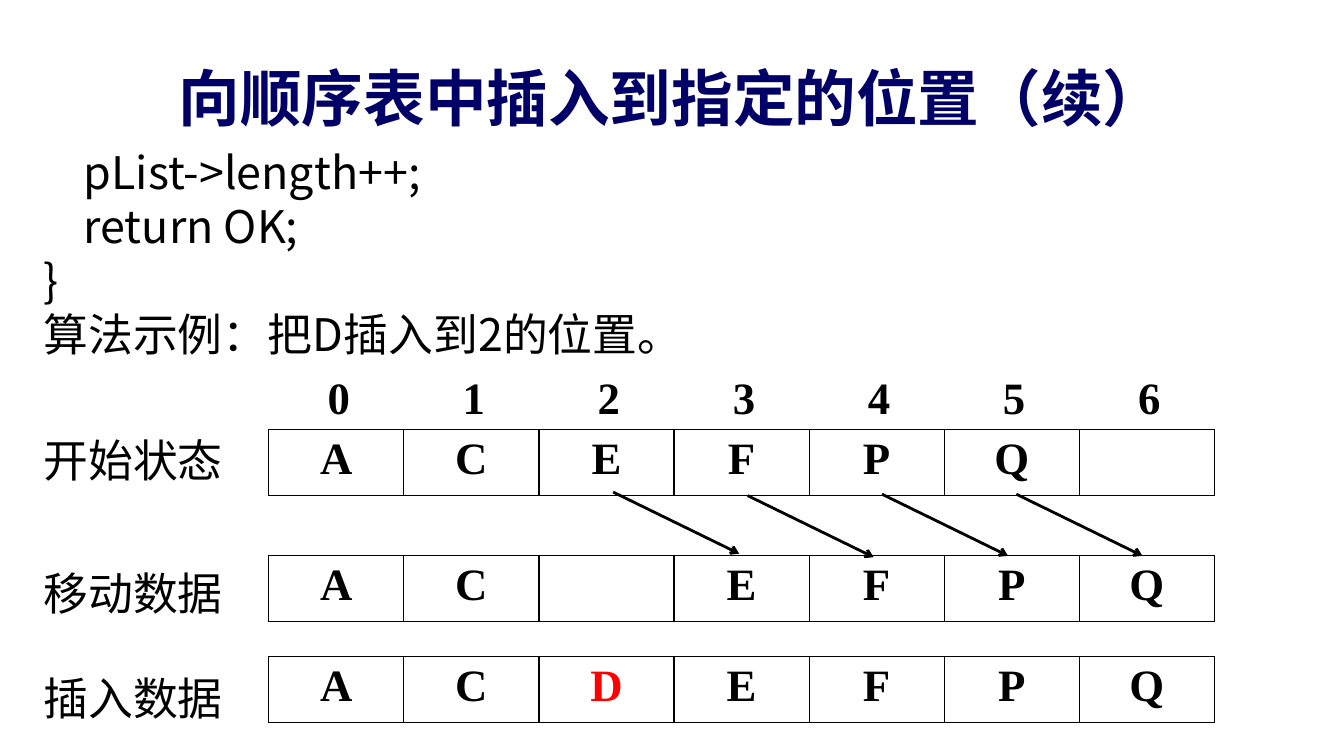
from dataclasses import dataclass

from pptx import Presentation
from pptx.dml.color import RGBColor
from pptx.enum import shapes, text
from pptx.oxml import ns, xmlchemy
from pptx.util import Pt

TITLE = "向顺序表中插入到指定的位置（续）"
BODY_LINES = [
    "    pList->length++;",
    "    return OK;",
    "}",
    "算法示例：把D插入到2的位置。",
]
INDEXES = "0123456"
# label, label middle, row top, cell letters
STATES = [
    ("开始状态", 328.5, 306.7, "ACEFPQ "),
    ("移动数据", 423.5, 396.7, "AC EFPQ"),
    ("插入数据", 498.5, 468.7, "ACDEFPQ"),
]
INSERTED = "D"
ARROW_TOPS = [351.5, 354, 353, 353]

LABEL_LEFT, LABEL_HEIGHT = 24, 48
ROW_LEFT, ROW_HEIGHT, CELL_WIDTH = 192, 47.25, 96.5
INDEX_LEFT, INDEX_TOP = 193.7, 264
ARROW_LEFT, ARROW_STEP, ARROW_WIDTH, ARROW_DROP = 438, 96, 90, 44


@dataclass(frozen=True)
class Theme:
    sans: str = "Noto Sans CJK SC"
    serif: str = "Times New Roman"
    navy: RGBColor = RGBColor(0x00, 0x00, 0x66)
    black: RGBColor = RGBColor(0, 0, 0)
    red: RGBColor = RGBColor(0xFF, 0, 0)
    title_size: float = 44
    body_size: float = 32
    body_pitch: float = 38.6
    border: float = 1
    arrow: float = 2


THEME = Theme()


def add_element(parent, tag, **attributes):
    element = xmlchemy.OxmlElement(tag)
    for name, value in attributes.items():
        element.set(name, value)
    parent.append(element)
    return element


def set_font(paragraph, name, size, color, bold=False):
    """Style a whole paragraph, for Latin and East Asian letters alike."""
    font = paragraph.font
    font.name, font.size, font.bold = name, Pt(size), bold
    font.color.rgb = color
    properties = paragraph._p.pPr.find(ns.qn("a:defRPr"))
    add_element(properties, "a:ea", typeface=name)


def add_text(slide, lines, left, top, width, height, size, color,
             bold=False, align=text.PP_ALIGN.LEFT,
             anchor=text.MSO_ANCHOR.MIDDLE, pitch=None):
    box = slide.shapes.add_textbox(Pt(left), Pt(top), Pt(width), Pt(height))
    frame = box.text_frame
    frame.word_wrap = True
    frame.vertical_anchor = anchor
    frame.text = "\n".join(lines)
    for paragraph in frame.paragraphs:
        paragraph.alignment = align
        if pitch:
            paragraph.line_spacing = Pt(pitch)
        set_font(paragraph, THEME.sans, size, color, bold)


def add_borders(cell):
    properties = cell._tc.get_or_add_tcPr()
    for position, side in enumerate(("a:lnL", "a:lnR", "a:lnT", "a:lnB")):
        line = xmlchemy.OxmlElement(side)
        line.set("w", str(Pt(THEME.border)))
        fill = add_element(line, "a:solidFill")
        add_element(fill, "a:srgbClr", val=str(THEME.black))
        properties.insert(position, line)


def add_row(slide, letters, left, top, bordered):
    frame = slide.shapes.add_table(
        1, len(letters), Pt(left), Pt(top),
        Pt(CELL_WIDTH * len(letters)), Pt(ROW_HEIGHT))
    table = frame.table
    table.first_row = table.horz_banding = False
    for column, letter in enumerate(letters):
        table.columns[column].width = Pt(CELL_WIDTH)
        cell = table.cell(0, column)
        cell.fill.background()
        cell.text = letter.strip()
        paragraph = cell.text_frame.paragraphs[0]
        paragraph.alignment = text.PP_ALIGN.CENTER
        color = THEME.red if letter == INSERTED else THEME.black
        set_font(paragraph, THEME.serif, THEME.body_size, color, bold=True)
        if bordered:
            add_borders(cell)


def add_arrow(slide, left, top):
    arrow = slide.shapes.add_connector(
        shapes.MSO_CONNECTOR.STRAIGHT, Pt(left), Pt(top),
        Pt(left + ARROW_WIDTH), Pt(top + ARROW_DROP))
    arrow.line.width = Pt(THEME.arrow)
    arrow.line.color.rgb = THEME.black
    add_element(arrow.line._get_or_add_ln(), "a:tailEnd", type="arrow")
    add_element(arrow._element.spPr, "a:effectLst")


def main():
    presentation = Presentation()
    presentation.slide_width, presentation.slide_height = Pt(960), Pt(540)
    slide = presentation.slides.add_slide(presentation.slide_layouts[6])

    add_text(slide, [TITLE], 72, 42, 816, 54, THEME.title_size, THEME.navy,
             bold=True, align=text.PP_ALIGN.CENTER)
    add_text(slide, BODY_LINES, LABEL_LEFT, 99.5, 912, 162, THEME.body_size,
             THEME.black, anchor=text.MSO_ANCHOR.TOP, pitch=THEME.body_pitch)

    add_row(slide, INDEXES, INDEX_LEFT, INDEX_TOP, bordered=False)
    for label, middle, top, letters in STATES:
        add_text(slide, [label], LABEL_LEFT, middle - LABEL_HEIGHT / 2, 160,
                 LABEL_HEIGHT, THEME.body_size, THEME.black)
        add_row(slide, letters, ROW_LEFT, top, bordered=True)
    for step, top in enumerate(ARROW_TOPS):
        add_arrow(slide, ARROW_LEFT + step * ARROW_STEP, top)

    presentation.save("out.pptx")


if __name__ == "__main__":
    main()
